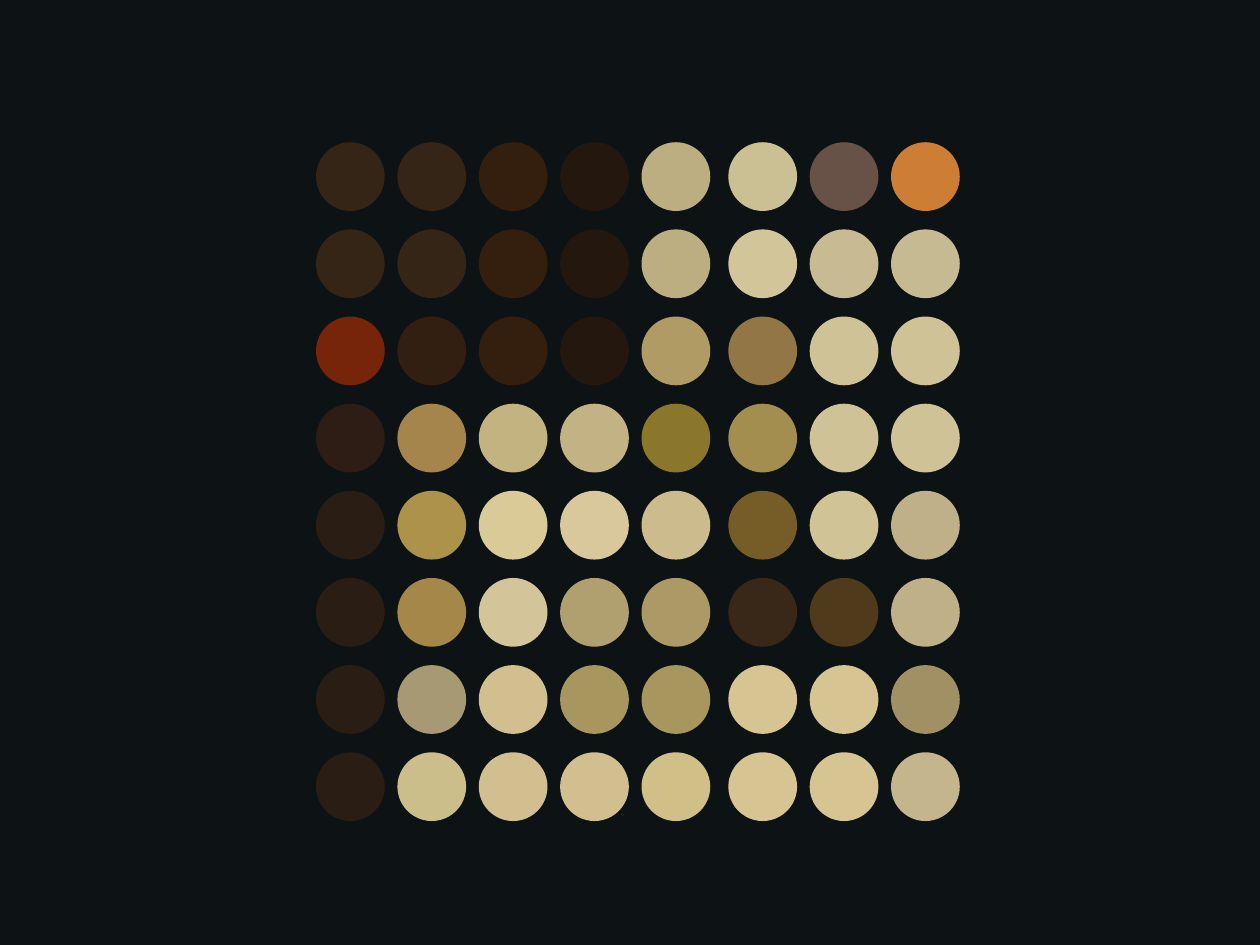
from pptx import Presentation
from pptx.dml.color import RGBColor
from pptx.enum.shapes import MSO_SHAPE
from pptx.util import Pt

ELLIPSE = MSO_SHAPE.OVAL
BLANK_LAYOUT = 6

# Each column lists its dots from top to bottom.
COLOURS = {
    "background": "0D1215",
    "column 1": "342516 342516 76240A 2E1D15 2A1D13 2A1D13 2A1D13 2A1D13",
    "column 2": "342516 342516 321F11 A5854C AD9249 A58849 A79973 CCBE8B",
    "column 3": "341F0F 341F0F 341F0F C3B381 DACA98 D3C499 D1BF8F D1BF8F",
    "column 4": "24170E 24170E 24170E C3B384 D9C89C B09F6F A7975E D1BF8F",
    "column 5": "BDAE82 BDAE82 B19B65 8B772B CBBB8D AD9965 A7975E D0C087",
    "column 6": "CBC093 D2C599 927645 A38E50 765D28 392818 D6C592 D6C592",
    "column 7": "685146 C8BB93 D0C297 D0C297 D0C496 4F3A1C D6C592 D6C592",
    "column 8": "CE7D34 C6BA92 D0C297 D0C297 C0B087 C0B087 A29065 C4B58C",
}

GRID_LEFT, GRID_TOP = 180.6, 81.3
COLUMN_STEP, ROW_STEP = 46.5, 49.8
DOT_SIZE = 39.3
COLUMNS = 8
COLUMNS_BEFORE_GAP = 5
EXTRA_GAP = 3.1


class DotPage:
    """Holds the dot style and the page being drawn."""

    def __init__(self, page, dot_size):
        self.page = page
        self.dot_size = Pt(dot_size)

    def background(self, colour):
        fill = self.page.background.fill
        fill.solid()
        fill.fore_color.rgb = RGBColor.from_string(colour)

    def group(self):
        return self.page.shapes.add_group_shape()

    def dot(self, group, left, top, colour):
        shape = group.shapes.add_shape(
            ELLIPSE, Pt(left), Pt(top), self.dot_size, self.dot_size)
        shape.shadow.inherit = False
        shape.fill.solid()
        shape.fill.fore_color.rgb = RGBColor.from_string(colour)
        shape.line.fill.background()


def main():
    deck = Presentation()
    deck.slide_width, deck.slide_height = Pt(720), Pt(540)
    page = DotPage(deck.slides.add_slide(deck.slide_layouts[BLANK_LAYOUT]), DOT_SIZE)
    page.background(COLOURS["background"])

    mosaic = page.group()
    for column in range(COLUMNS):
        left = GRID_LEFT + column * COLUMN_STEP
        if column >= COLUMNS_BEFORE_GAP:
            left += EXTRA_GAP
        for row, colour in enumerate(COLOURS[f"column {column + 1}"].split()):
            page.dot(mosaic, left, GRID_TOP + row * ROW_STEP, colour)

    deck.save("out.pptx")


if __name__ == "__main__":
    main()
